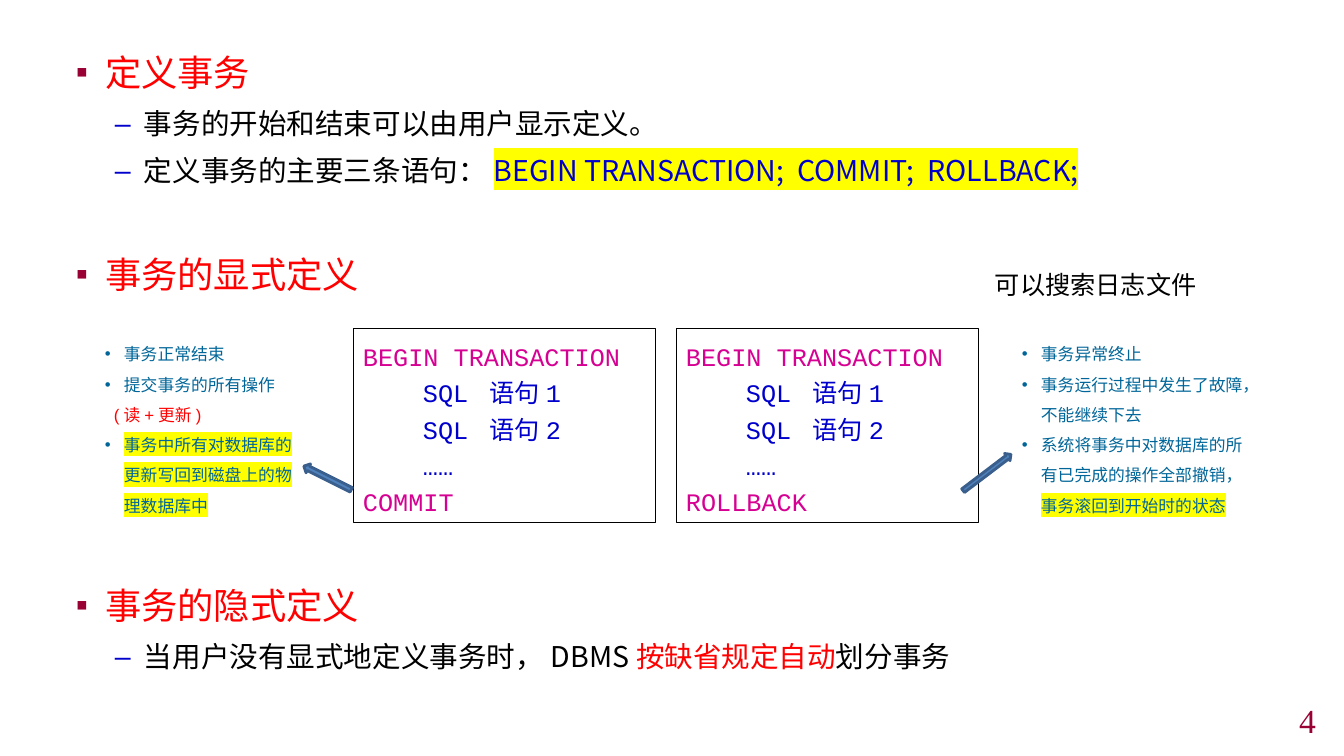
import pptx
import pptx.util
import pptx.dml.color
import pptx.enum.shapes
import pptx.enum.text
import pptx.oxml.ns
from lxml import etree

EMU_PER_PX = 914400 / 100.8
CJK = "Noto Sans CJK SC"
COLORS = {
    "red": "FF0000", "black": "000000", "blue": "0000CC", "yellow": "FFFF00",
    "maroon": "990033", "magenta": "D60093", "teal": "006699",
    "arrow": "4F81BD", "arrow_line": "3A5F8C",
}


def px(n):
    """Turn pixels into EMU."""
    return pptx.util.Emu(round(n * EMU_PER_PX))


def rgb(name):
    """Look up a named colour."""
    return pptx.dml.color.RGBColor.from_string(COLORS[name])


def add_xml(parent, tag, **attrs):
    """Append one DrawingML element."""
    return etree.SubElement(parent, pptx.oxml.ns.qn("a:" + tag), attrs)


def add_box(slide, box, inset=(0, 0), outlined=False):
    """Add a text box, or an outlined rectangle, and return its text frame."""
    place = [px(n) for n in box]
    if outlined:
        sp = slide.shapes.add_shape(pptx.enum.shapes.MSO_SHAPE.RECTANGLE, *place)
        sp.shadow.inherit = False
        sp.fill.background()
        sp.line.color.rgb = rgb("black")
        sp.line.width = pptx.util.Pt(0.25)
    else:
        sp = slide.shapes.add_textbox(*place)
    tf = sp.text_frame
    tf.word_wrap = True
    tf.vertical_anchor = pptx.enum.text.MSO_ANCHOR.TOP
    tf.margin_left = tf.margin_right = px(inset[0])
    tf.margin_top = tf.margin_bottom = px(inset[1])
    return tf


def add_text(tf, text, size=12, font=CJK, color="black", leading=None, before=0,
             margin=0, hang=0, bullet=None, bullet_color=None, bullet_size=100,
             align="LEFT"):
    """Add a paragraph; text is a string or a list of (text, colour, highlight)."""
    p = tf.paragraphs[0]
    if p.runs:
        p = tf.add_paragraph()
    p.alignment = getattr(pptx.enum.text.PP_ALIGN, align)
    p.space_before = pptx.util.Pt(before)
    if leading:
        p.line_spacing = pptx.util.Pt(leading)
    pPr = p._p.get_or_add_pPr()
    pPr.set("marL", str(px(margin)))
    pPr.set("indent", str(-px(hang)))
    if bullet:
        add_xml(add_xml(pPr, "buClr"), "srgbClr", val=COLORS[bullet_color or color])
        add_xml(pPr, "buSzPct", val=str(bullet_size * 1000))
        add_xml(pPr, "buFont", typeface="Arial")
        add_xml(pPr, "buChar", char=bullet)
    runs = [(text, color, None)] if isinstance(text, str) else text
    for words, run_color, highlight in runs:
        r = p.add_run()
        r.text = words
        r.font.size = pptx.util.Pt(size)
        r.font.color.rgb = rgb(run_color)
        rPr = r._r.get_or_add_rPr()
        if highlight:
            add_xml(add_xml(rPr, "highlight"), "srgbClr", val=COLORS[highlight])
        r.font.name = font
        add_xml(rPr, "ea", typeface=CJK)


def add_section(slide, box, heading, points):
    """Add a red heading with dashed points under it."""
    tf = add_box(slide, box)
    add_text(tf, heading, size=25.9, color="red", margin=29, hang=29,
             bullet="▪", bullet_color="maroon", bullet_size=95)
    for point in points:
        add_text(tf, point, size=20.4, before=9, margin=68, hang=29,
                 bullet="–", bullet_color="blue")


def add_code(slide, box, last):
    """Add a framed transaction that ends with the given statement."""
    tf = add_box(slide, box, inset=(10, 7), outlined=True)
    lines = [("BEGIN TRANSACTION", "magenta", 0), ("SQL 语句1", "blue", 60),
             ("SQL 语句2", "blue", 60), ("……", "blue", 60), (last, "magenta", 0)]
    for text, color, margin in lines:
        add_text(tf, text, size=18, font="Courier New", color=color,
                 leading=26, margin=margin)


def add_notes(slide, box, notes):
    """Add small bulleted remarks; a (text, colour) pair is an unbulleted aside."""
    tf = add_box(slide, box, inset=(10, 6))
    for note in notes:
        if isinstance(note, tuple):
            add_text(tf, note[0], font="Arial", color=note[1], leading=21.6, margin=9)
        else:
            add_text(tf, note, font="Arial", color="teal", leading=21.6,
                     margin=19, hang=19, bullet="•")


def add_arrow(slide, box, angle):
    """Add a thin block arrow turned by the given angle."""
    sp = slide.shapes.add_shape(pptx.enum.shapes.MSO_SHAPE.LEFT_ARROW,
                                *[px(n) for n in box])
    sp.rotation = angle
    sp.shadow.inherit = False
    sp.fill.solid()
    sp.fill.fore_color.rgb = rgb("arrow")
    sp.line.color.rgb = rgb("arrow_line")
    sp.line.width = pptx.util.Pt(2)


def add_label(slide, box):
    """Add the remark about the log file."""
    tf = add_box(slide, box, inset=(10, 5))
    add_text(tf, "可以搜索日志文件", size=18, font="Calibri", leading=23)


def add_page_number(slide, box):
    """Add the page number in the bottom corner."""
    tf = add_box(slide, box, inset=(10, 0))
    tf.vertical_anchor = pptx.enum.text.MSO_ANCHOR.MIDDLE
    add_text(tf, "4", size=24, font="Times New Roman", color="maroon", align="RIGHT")


prs = pptx.Presentation()
prs.slide_width, prs.slide_height = px(1344), px(756)
slide = prs.slides.add_slide(prs.slide_layouts[6])

add_section(slide, (76, 50, 1216, 170), "定义事务", [
    "事务的开始和结束可以由用户显示定义。",
    [("定义事务的主要三条语句：", "black", None),
     ("BEGIN TRANSACTION;  COMMIT;  ROLLBACK;", "blue", "yellow")],
])
add_section(slide, (76, 252, 800, 54), "事务的显式定义", [])
add_section(slide, (76, 583, 1216, 110), "事务的隐式定义", [
    [("当用户没有显式地定义事务时，DBMS", "black", None),
     ("按缺省规定自动", "red", None), ("划分事务", "black", None)],
])
add_page_number(slide, (1041, 705, 285, 31))

for left, last in ((353, "COMMIT"), (676, "ROLLBACK")):
    add_code(slide, (left, 328, 302, 194), last)

add_notes(slide, (95, 328, 219, 194), [
    "事务正常结束",
    "提交事务的所有操作",
    ("(读+更新)", "red"),
    [("事务中所有对数据库的更新写回到磁盘上的物理数据库中", "teal", "yellow")],
])
add_notes(slide, (1012, 328, 244, 194), [
    "事务异常终止",
    "事务运行过程中发生了故障，不能继续下去",
    [("系统将事务中对数据库的所有已完成的操作全部撤销，", "teal", None),
     ("事务滚回到开始时的状态", "teal", "yellow")],
])
add_arrow(slide, (301, 473, 53, 10), 26.6)
add_arrow(slide, (957, 468, 60, 9), 142.8)
add_label(slide, (985, 262, 291, 40))

prs.save("out.pptx")
